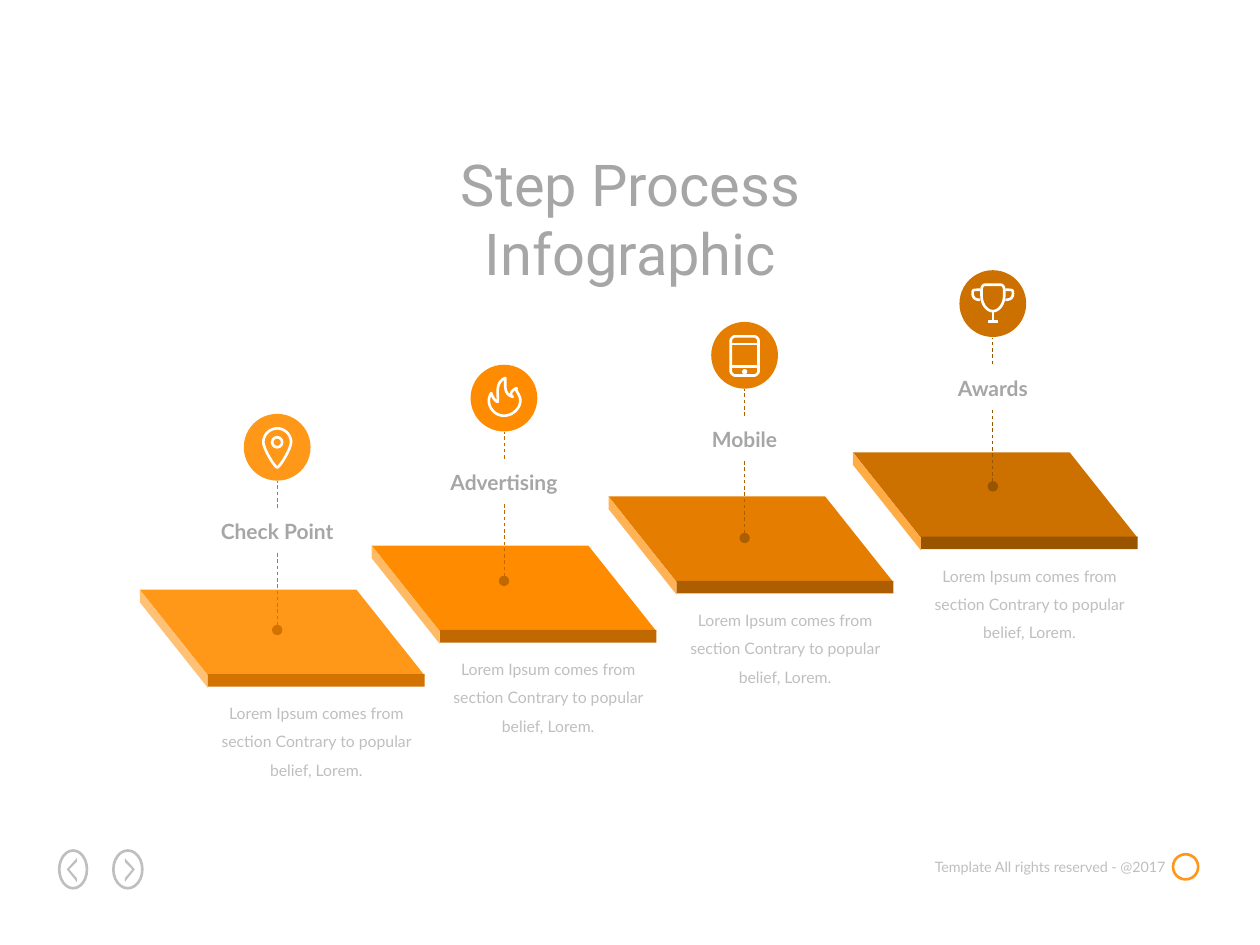
from pptx import Presentation
from pptx.dml.color import RGBColor
from pptx.enum.dml import MSO_LINE
from pptx.enum.shapes import MSO_CONNECTOR, MSO_SHAPE
from pptx.enum.text import MSO_AUTO_SIZE, PP_ALIGN
from pptx.oxml.ns import qn
from pptx.util import Inches, Pt
from lxml import etree

OVAL, RECT = MSO_SHAPE.OVAL, MSO_SHAPE.RECTANGLE
STRAIGHT, DASH = MSO_CONNECTOR.STRAIGHT, MSO_LINE.DASH
CENTER, RIGHT = PP_ALIGN.CENTER, PP_ALIGN.RIGHT
GROW = MSO_AUTO_SIZE.SHAPE_TO_FIT_TEXT
WHITE = RGBColor(0xFF, 0xFF, 0xFF)
GRAY = RGBColor(0xA6, 0xA6, 0xA6)
SILVER = RGBColor(0xBF, 0xBF, 0xBF)
ORANGE = RGBColor(0xFF, 0x97, 0x19)

prs = Presentation()
prs.slide_width, prs.slide_height = Inches(10), Inches(7.5)
slide = prs.slides.add_slide(prs.slide_layouts[6])
shapes = slide.shapes


def add_text(words, box, size, font, color, align=CENTER, wrap=False):
    frame = shapes.add_textbox(*map(Inches, box)).text_frame
    frame.text = words
    frame.word_wrap, frame.auto_size = wrap, GROW
    para = frame.paragraphs[0]
    para.alignment = align
    face = para.runs[0].font
    face.size, face.name, face.color.rgb = Pt(size), font, color
    return para


def add_path(x, y, path, fill=None, close=True):
    """Two numbers make a corner, six make a cubic curve; no fill means a white stroke."""
    last = path[0]
    points = []
    for step in path[1:]:
        if len(step) == 2:
            points.append(step)
        else:
            ax, ay, bx, by, cx, cy = step
            for k in range(1, 13):
                t = k / 12
                u = 1 - t
                points.append(tuple(
                    u**3 * p + 3 * u * u * t * a + 3 * u * t * t * b + t**3 * c
                    for p, a, b, c in zip(last, (ax, ay), (bx, by), (cx, cy))))
        last = step[-2:]
    pen = shapes.build_freeform(Inches(x + path[0][0]), Inches(y + path[0][1]), 1)
    pen.add_line_segments([(Inches(x + a), Inches(y + b)) for a, b in points], close)
    shape = pen.convert_to_shape()
    shape.shadow.inherit = False
    if fill:
        shape.fill.solid()
        shape.fill.fore_color.rgb = fill
        shape.line.fill.background()
    else:
        shape.fill.background()
        shape.line.color.rgb, shape.line.width = WHITE, Pt(1.5)


# Icon paths, measured from the centre of each disc
PIN = [(0, -.15), (.06, -.15, .11, -.1, .11, -.04), (.11, .01, .02, .16, 0, .16),
       (-.02, .16, -.11, .01, -.11, -.04), (-.11, -.1, -.06, -.15, 0, -.15)]
FLAME = [(.1, -.08), (.06, -.06, .04, -.03, .07, -.01), (0, -.03, .01, -.09, .01, -.16),
         (-.08, -.12, -.04, -.01, -.05, .03), (-.08, .02, -.1, -.03, -.1, -.04),
         (-.11, -.03, -.12, 0, -.12, .02), (-.12, .08, -.07, .14, 0, .14),
         (.07, .14, .13, .08, .13, .02), (.13, -.03, .09, -.05, .1, -.08)]
PHONE = [(-.08, -.15), (.08, -.15), (.09, -.15, .11, -.13, .11, -.12), (.11, .13),
         (.11, .14, .09, .16, .08, .16), (-.08, .16), (-.09, .16, -.11, .14, -.11, .13),
         (-.11, -.12), (-.11, -.13, -.09, -.15, -.08, -.15)]
CUP = [(-.06, -.15), (.06, -.15), (.08, -.15, .09, -.13, .09, -.11), (.09, -.06),
       (.09, 0, .05, .06, 0, .06), (-.05, .06, -.09, 0, -.09, -.06), (-.09, -.11),
       (-.09, -.13, -.08, -.15, -.06, -.15)]
HANDLES = [[(s * .1, -.11), (s * .16, -.11, s * .16, -.11, s * .16, -.08),
            (s * .16, -.04, s * .13, -.03, s * .1, -.03)] for s in (-1, 1)]
BARS = [[(-.1, y), (.1, y)] for y in (-.09, .09)]
STAND = [[(0, .06), (0, .14)], [(-.04, .14), (.04, .14)]]

# Label, label width, slab corner, disc centre, top / side / front colours, icon
STEPS = [
    ("Check Point", 1.11, (1.11, 4.68), (2.2, 3.55), "FF9719 FFC175 D27300", PIN, []),
    ("Advertising", 1.06, (2.95, 4.33), (4, 3.16), "FF8C00 FFBA66 BF6900", FLAME, []),
    ("Mobile", .73, (4.83, 3.94), (5.91, 2.82), "E57E00 FFB356 AC5E00", PHONE, BARS),
    ("Awards", .77, (6.77, 3.59), (7.88, 2.41), "CC7000 FFAC47 995400", CUP, HANDLES + STAND),
]

# Footer: two arrow buttons, and a small ring clear of the words
add_text("Template All rights reserved - @2017", (7.25, 6.76, 2.1, .24), 8.2, "Lato", SILVER, RIGHT)
for x, way, color, box in [(.58, 1, SILVER, (.47, 6.75, .22, .3)),
                           (1.02, -1, SILVER, (.9, 6.75, .23, .3)),
                           (0, 0, ORANGE, (9.31, 6.78, .2, .2))]:
    ring = shapes.add_shape(OVAL, *map(Inches, box))
    ring.shadow.inherit = False
    ring.fill.background()
    ring.line.color.rgb, ring.line.width = color, Pt(1.5)
    if way:
        add_path(x, 6.9, [(way * a, b) for a, b in [
            (.03, -.06), (-.03, 0), (.03, .07), (.03, .1), (-.05, 0), (.03, -.09)]], SILVER)

# Title
add_text("Step Process Infographic", (2.39, 1.13, 5.23, .66), 33, "Roboto", GRAY, wrap=True)

# Steps
for label, width, (x, y), (cx, cy), colors, icon, strokes in STEPS:
    top, side, front = map(RGBColor.from_string, colors.split())

    # Slab
    add_path(x, y, [(0, 0), (1.72, 0), (2.26, .68), (.54, .68)], top)
    add_path(x, y, [(0, 0), (0, .1), (.54, .78), (.54, .68)], side)
    edge = (RECT, x + .54, y + .67, 1.72, .1, front)
    disc = (OVAL, cx - .265, cy - .265, .53, .53, top)
    for kind, left, up, wide, high, color in (edge, disc):
        shape = shapes.add_shape(kind, *map(Inches, (left, up, wide, high)))
        shape.shadow.inherit = False
        shape.fill.solid()
        shape.fill.fore_color.rgb = color
        shape.line.fill.background()

    # Dashed stem, with a dot on the slab
    for low, high, dot in ((1.45, .83, True), (.48, .27, False)):
        stem = shapes.add_connector(STRAIGHT, Inches(cx), Inches(cy + low), Inches(cx), Inches(cy + high))
        stem.line.color.rgb, stem.line.width = front, Pt(.5)
        stem.line.dash_style = DASH
        props = stem._element.spPr
        if dot:
            etree.SubElement(props.find(qn("a:ln")), qn("a:headEnd"), type="oval")
        etree.SubElement(props, qn("a:effectLst"))

    # Words
    add_text(label, (cx - width / 2, cy + .52, width, .3), 12, "Lato", GRAY).runs[0].font.bold = True
    note = add_text("Lorem Ipsum comes from section Contrary to popular belief, Lorem.",
                    (x + .54, y + .78, 1.72, .78), 9, "Lato", SILVER, wrap=True)
    note.line_spacing = 1.5

    # Icon
    add_path(cx, cy, icon)
    for stroke in strokes:
        add_path(cx, cy, stroke, close=False)

# Eye of the pin and button of the phone
for (cx, cy), r in (((2.2, 3.51), .04), ((5.91, 2.95), .01)):
    eye = shapes.add_shape(OVAL, Inches(cx - r), Inches(cy - r), Inches(2 * r), Inches(2 * r))
    eye.shadow.inherit = False
    eye.fill.background()
    eye.line.color.rgb, eye.line.width = WHITE, Pt(1.5)

prs.save("out.pptx")
